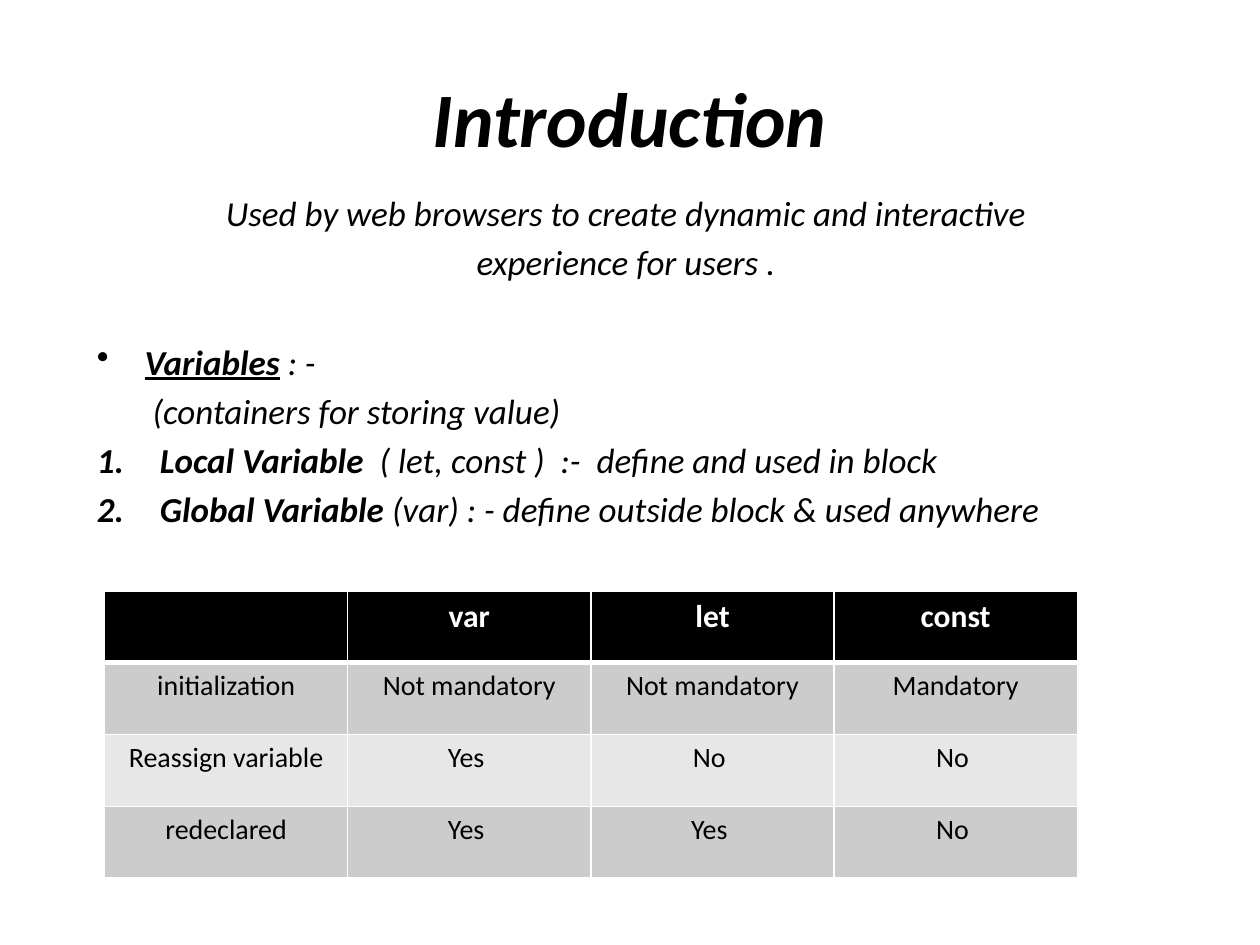
from dataclasses import dataclass

from lxml import etree
from pptx import Presentation
from pptx.dml.color import RGBColor
from pptx.enum.text import MSO_ANCHOR, MSO_AUTO_SIZE, PP_ALIGN
from pptx.oxml.ns import qn
from pptx.util import Inches, Pt

CENTER, LEFT = PP_ALIGN.CENTER, PP_ALIGN.LEFT
TOP, MIDDLE = MSO_ANCHOR.TOP, MSO_ANCHOR.MIDDLE
NO_AUTOFIT = MSO_AUTO_SIZE.NONE


@dataclass(frozen=True)
class Theme:
    font: str = "Calibri"
    ink: str = "000000"
    paper: str = "FFFFFF"
    bands: tuple = ("CCCCCC", "E7E7E7")
    title_size: int = 44
    text_size: int = 20
    header_size: int = 18
    cell_size: int = 16
    space_before: int = 4
    border: int = 1
    header_rule: int = 3


THEME = Theme()
BULLET = ("a:buChar", {"char": "•"})
NUMBER = ("a:buAutoNum", {"type": "arabicPeriod"})
NO_BULLET = ("a:buNone", {})

INTRODUCTION = [
    "Used by web browsers to create dynamic and interactive ",
    "experience for users . ",
]
# Each entry: marker, left margin, first-line indent, runs
VARIABLES = [
    (BULLET, 0.38, -0.38, [("Variables", {"bold": True, "underline": True}),
                           (" ", {"bold": True}), (": -", {})]),
    (NO_BULLET, 0.38, 0, [(" (containers for storing value)", {})]),
    (NUMBER, 0.5, -0.5, [("Local Variable  ", {"bold": True}),
                         ("( let, const )  :-  define and used in block", {})]),
    (NUMBER, 0.5, -0.5, [("Global Variable ", {"bold": True}),
                         ("(var) : - define outside block & used anywhere", {})]),
]
COMPARISON = [
    ["", "var", "let", "const"],
    ["initialization", "Not mandatory", "Not mandatory", "Mandatory"],
    ["Reassign variable", "Yes ", "No ", "No "],
    ["redeclared", "Yes ", "Yes ", "No "],
]


def set_attributes(target, values):
    for name, value in values.items():
        setattr(target, name, value)


def place(shape, box):
    names = ("left", "top", "width", "height")
    set_attributes(shape, dict(zip(names, map(Inches, box))))


def add_run(paragraph, text, size, color=THEME.ink, **style):
    run = paragraph.add_run()
    run.text = text
    set_attributes(run.font, {"name": THEME.font, "size": Pt(size), **style})
    run.font.color.rgb = RGBColor.from_string(color)


def paragraph_at(frame, index):
    return frame.paragraphs[0] if index == 0 else frame.add_paragraph()


def format_list_item(paragraph, alignment, marker, margin, indent):
    set_attributes(paragraph, {"alignment": alignment,
                               "space_before": Pt(THEME.space_before)})
    properties = paragraph._p.get_or_add_pPr()
    properties.set("marL", str(Inches(margin)))
    properties.set("indent", str(Inches(indent)))
    tag, attributes = marker
    etree.SubElement(properties, qn(tag), attributes)


def fill_title(slide, box):
    title = slide.shapes.title
    place(title, box)
    set_attributes(title.text_frame, {"vertical_anchor": MIDDLE, "auto_size": NO_AUTOFIT})
    paragraph = title.text_frame.paragraphs[0]
    paragraph.alignment = CENTER
    add_run(paragraph, "Introduction", THEME.title_size, bold=True, italic=True)


def fill_introduction(slide, box):
    body = slide.placeholders[1]
    place(body, box)
    frame = body.text_frame
    set_attributes(frame, {"vertical_anchor": TOP, "auto_size": NO_AUTOFIT})
    for index, line in enumerate(INTRODUCTION):
        paragraph = paragraph_at(frame, index)
        format_list_item(paragraph, CENTER, NO_BULLET, 0.38, -0.38)
        add_run(paragraph, line, THEME.text_size, italic=True)


def add_variables(slide, box):
    frame = slide.shapes.add_textbox(*map(Inches, box)).text_frame
    set_attributes(frame, {"word_wrap": True, "vertical_anchor": TOP,
                           "auto_size": NO_AUTOFIT})
    for index, (marker, margin, indent, runs) in enumerate(VARIABLES):
        paragraph = paragraph_at(frame, index)
        format_list_item(paragraph, LEFT, marker, margin, indent)
        for text, style in runs:
            add_run(paragraph, text, THEME.text_size, italic=True, **style)


def add_cell_borders(cell, top, bottom):
    """Draw all four borders; the top and bottom widths are in points."""
    properties = cell._tc.get_or_add_tcPr()
    widths = {"a:lnL": THEME.border, "a:lnR": THEME.border,
              "a:lnT": top, "a:lnB": bottom}
    for tag, width in widths.items():
        line = etree.SubElement(properties, qn(tag), {"w": str(Pt(width))})
        fill = etree.SubElement(line, qn("a:solidFill"))
        etree.SubElement(fill, qn("a:srgbClr"), {"val": THEME.paper})


def add_comparison(slide, box):
    row_count, column_count = len(COMPARISON), len(COMPARISON[0])
    table = slide.shapes.add_table(row_count, column_count, *map(Inches, box)).table
    for row, texts in enumerate(COMPARISON):
        is_header = row == 0
        band = THEME.ink if is_header else THEME.bands[(row - 1) % 2]
        color = THEME.paper if is_header else THEME.ink
        size = THEME.header_size if is_header else THEME.cell_size
        top = THEME.header_rule if row == 1 else THEME.border
        bottom = THEME.header_rule if is_header else THEME.border
        for column, text in enumerate(texts):
            cell = table.cell(row, column)
            add_cell_borders(cell, top, bottom)
            cell.fill.solid()
            cell.fill.fore_color.rgb = RGBColor.from_string(band)
            if text:
                paragraph = cell.text_frame.paragraphs[0]
                paragraph.alignment = CENTER
                add_run(paragraph, text, size, color, bold=is_header)


def main():
    presentation = Presentation()
    set_attributes(presentation, {"slide_width": Inches(10), "slide_height": Inches(7.5)})
    slide = presentation.slides.add_slide(presentation.slide_layouts[1])
    fill_title(slide, (0.5, 0.3, 9, 1.25))
    fill_introduction(slide, (0.5, 1.47, 9, 0.98))
    add_variables(slide, (0.67, 2.65, 9, 1.81))
    add_comparison(slide, (0.83, 4.69, 7.72, 2.28))
    presentation.save("out.pptx")


if __name__ == "__main__":
    main()
